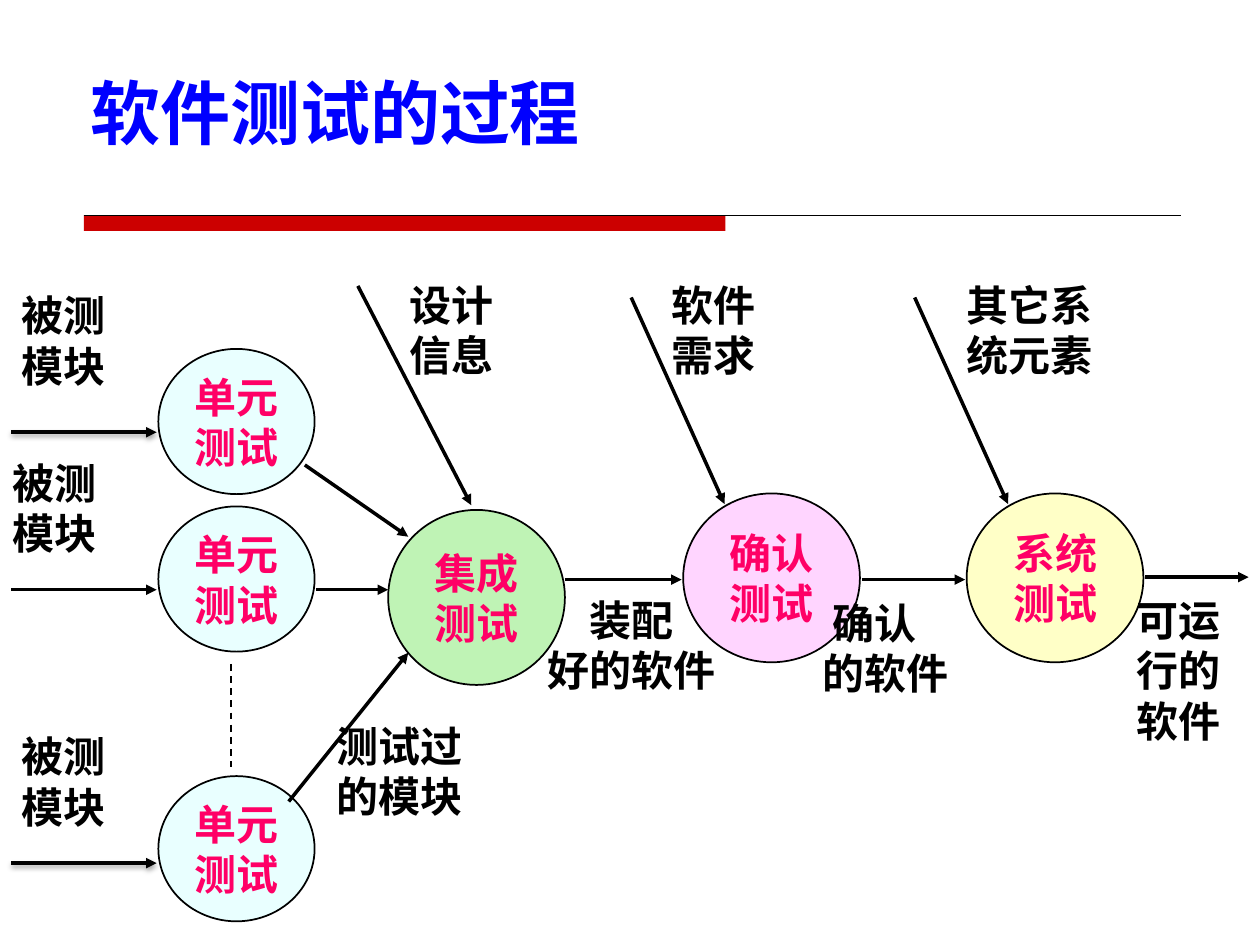
from lxml.etree import SubElement
from pptx import Presentation
from pptx.dml.color import RGBColor
from pptx.enum.dml import MSO_LINE
from pptx.enum.shapes import MSO_CONNECTOR, MSO_SHAPE
from pptx.enum.text import MSO_ANCHOR, MSO_AUTO_SIZE, PP_ALIGN
from pptx.oxml.ns import qn
from pptx.util import Pt

CJK_FONT = "Noto Sans CJK SC"
BLACK = "000000"


def color(value):
    """Turn a hex string into a colour."""
    return RGBColor.from_string(value)


class Diagram:
    """Draws styled elements on the current slide, with lengths in points."""

    label_format = {"size": Pt(24), "name": "Arial", "bold": True}
    circle_format = {"size": Pt(24), "name": CJK_FONT, "bold": True}
    title_format = {"size": Pt(40), "name": CJK_FONT, "bold": True}

    def __init__(self, slide):
        """Keep the slide to draw on."""
        self.slide = slide

    def fill_text(self, shape, lines, font_format, font_color, align, indent=0):
        """Fill a shape with one paragraph for each line."""
        frame = shape.text_frame
        frame.text = "\n".join(lines)
        for paragraph in frame.paragraphs:
            paragraph.alignment = align
            paragraph.line_spacing = Pt(font_format["size"].pt * 1.2)
            font = paragraph.runs[0].font
            for name, value in font_format.items():
                setattr(font, name, value)
            font.color.rgb = color(font_color)
            latin = font._element.find(qn("a:latin"))
            east_asian = latin.makeelement(qn("a:ea"), {"typeface": CJK_FONT})
            latin.addnext(east_asian)
        if indent:
            properties = frame.paragraphs[0]._p.get_or_add_pPr()
            properties.set("marL", str(Pt(indent)))

    def text(self, box, lines, font_format=label_format, font_color=BLACK,
             align=PP_ALIGN.LEFT, wrap=True, indent=0):
        """Add a text box."""
        shape = self.slide.shapes.add_textbox(*map(Pt, box))
        shape.text_frame.word_wrap = wrap
        self.fill_text(shape, lines, font_format, font_color, align, indent)
        shape.text_frame.auto_size = MSO_AUTO_SIZE.SHAPE_TO_FIT_TEXT

    def circle(self, box, lines, fill):
        """Add an outlined ellipse for a test stage."""
        shape = self.slide.shapes.add_shape(MSO_SHAPE.OVAL, *map(Pt, box))
        shape.shadow.inherit = False
        shape.fill.solid()
        shape.fill.fore_color.rgb = color(fill)
        shape.line.color.rgb = color(BLACK)
        shape.line.width = Pt(1)
        frame_format = {"margin_left": 0, "margin_right": 0, "margin_top": 0,
                        "margin_bottom": 0, "word_wrap": False,
                        "vertical_anchor": MSO_ANCHOR.MIDDLE}
        for name, value in frame_format.items():
            setattr(shape.text_frame, name, value)
        self.fill_text(shape, lines, self.circle_format, "FF0066",
                       PP_ALIGN.CENTER)

    def bar(self, box, fill):
        """Add a filled rectangle without an outline."""
        shape = self.slide.shapes.add_shape(MSO_SHAPE.RECTANGLE, *map(Pt, box))
        shape.shadow.inherit = False
        shape.fill.solid()
        shape.fill.fore_color.rgb = color(fill)
        shape.line.fill.background()

    def line(self, ends, width=1, dash=None, shadow=False):
        """Add a straight line and return it."""
        connector = self.slide.shapes.add_connector(
            MSO_CONNECTOR.STRAIGHT, *map(Pt, ends))
        connector.line.color.rgb = color(BLACK)
        connector.line.width = Pt(width)
        connector.line.dash_style = dash
        effects = SubElement(connector._element.spPr, qn("a:effectLst"))
        if shadow:
            outer = SubElement(effects, qn("a:outerShdw"), {
                "blurRad": str(Pt(3.1)), "dist": str(Pt(1.6)),
                "dir": "5400000", "rotWithShape": "0"})
            shade = SubElement(outer, qn("a:srgbClr"), {"val": BLACK})
            SubElement(shade, qn("a:alpha"), {"val": "38000"})
        return connector

    def arrow(self, ends, shadow=False):
        """Add a line with a triangle at its end."""
        connector = self.line(ends, 2, shadow=shadow)
        SubElement(connector.line._get_or_add_ln(), qn("a:tailEnd"),
                   {"type": "triangle"})


def main():
    """Build the software testing process slide."""
    presentation = Presentation()
    presentation.slide_width, presentation.slide_height = Pt(720), Pt(540)
    slide = presentation.slides.add_slide(presentation.slide_layouts[6])
    diagram = Diagram(slide)

    diagram.bar((48, 123, 366.5, 9), "CC0000")
    diagram.line((48, 123, 674.6, 123), 0.75)
    diagram.text((44.6, 36, 298, 55.4), ["软件测试的过程"],
                 Diagram.title_format, "0000FF", wrap=False)

    modules = [(199.4, 247, 5, 162, True), (289.4, 337, 0, 257.8, False),
               (443.5, 493.2, 5, 414, True)]
    for circle_top, arrow_y, label_left, label_top, shadow in modules:
        diagram.circle((90.5, circle_top, 89.3, 83), ["单元", "测试"], "E9FFFF")
        diagram.arrow((6.5, arrow_y, 89.5, arrow_y), shadow)
        diagram.text((label_left, label_top, 97.2, 64.8), ["被测", "模块"])

    stages = [((221.8, 291.4, 101, 100), "集成", "BFF3B5"),
              ((390.4, 282, 101, 96.5), "确认", "FFD5FF"),
              ((552.4, 282, 101, 96.5), "系统", "FFFFC7")]
    for box, name, fill in stages:
        diagram.circle(box, [name, "测试"], fill)

    arrows = [(174.2, 265.7, 233.3, 306.7), (180.7, 337, 221.8, 337),
              (165, 458, 233.3, 373), (322.6, 331.2, 389.5, 331.2),
              (492.5, 331.2, 551.5, 331.2), (654.5, 329.8, 713.5, 329.8),
              (204.5, 163.4, 269.3, 288.7), (360.7, 170, 414, 288),
              (522.7, 170, 576, 288)]
    for ends in arrows:
        diagram.arrow(ends)
    diagram.line((132, 379.4, 132, 438.5), dash=MSO_LINE.DASH)

    labels = [((226.8, 156.2, 103, 64.8), ["设计", "信息"]),
              ((376.6, 156.2, 103, 64.8), ["软件", "需求"]),
              ((545, 156.2, 139, 64.8), ["其它系", "统元素"]),
              ((185, 408.2, 121, 64.8), ["测试过", "的模块"]),
              ((642.2, 336.2, 79.2, 93.6), ["可运", "行的", "软件"])]
    for box, lines in labels:
        diagram.text(box, lines)
    diagram.text((288, 336.2, 145.4, 64.8), ["装配", "好的软件"],
                 align=PP_ALIGN.CENTER)
    diagram.text((463, 337.7, 121, 64.8), ["确认", "的软件"], indent=5.4)

    presentation.save("out.pptx")


if __name__ == "__main__":
    main()
